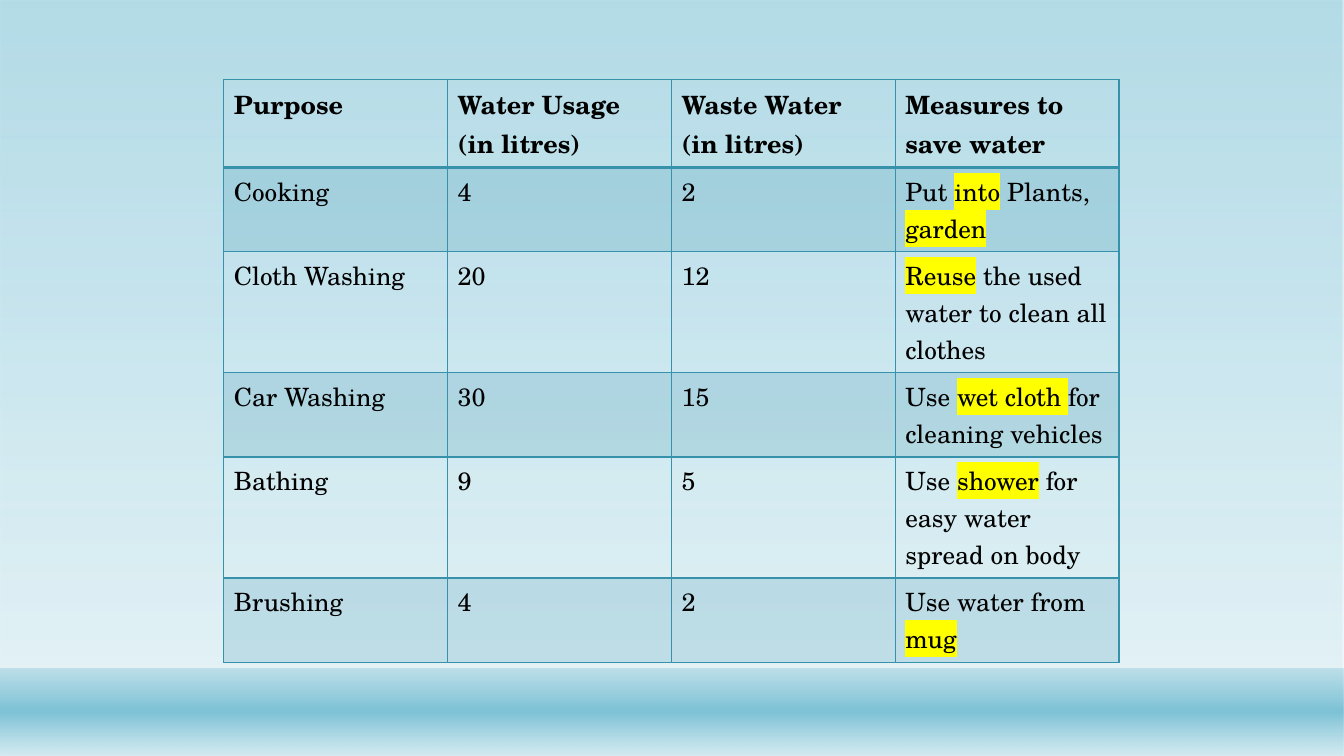
from pptx import Presentation
from pptx.dml.color import RGBColor as RGB
from pptx.enum.shapes import MSO_SHAPE as Shape
from pptx.oxml import parse_xml
from pptx.oxml.ns import nsdecls
from pptx.util import Inches, Pt

# Content: text between asterisks is highlighted, "\n" starts a new paragraph
ROWS = [
    ("Purpose", "Water Usage\n(in litres)", "Waste Water\n(in litres)",
     "Measures to save water"),
    ("Cooking", "4", "2", "Put *into* Plants, *garden*"),
    ("Cloth Washing", "20", "12", "*Reuse* the used water to clean all clothes"),
    ("Car Washing", "30", "15", "Use *wet cloth *for cleaning vehicles"),
    ("Bathing", "9", "5", "Use *shower* for easy water spread on body"),
    ("Brushing", "4", "2", "Use water from *mug*"),
]
COLORS = {"water": "7DC2D6", "mist": "D4EBF1", "teal": "3691AA",
          "text": "000000", "mark": "FFFF00"}
FONT = "TeX Gyre Schola"

SLIDE_W, SLIDE_H = 13.33, 7.5
FLOOR_TOP = 6.63
TABLE_LEFT, TABLE_TOP, COL_W = 2.22, 0.79, 2.22
ROW_HEIGHTS = [0.87, 0.83, 1.2, 0.83, 1.2, 0.83]

# Background bands: top, height, gradient stops (position, colour, opacity) in %
BANDS = [
    (0, SLIDE_H, [(0, "water", 58), (88, "mist", 65)]),
    (FLOOR_TOP, SLIDE_H - FLOOR_TOP,
     [(1, "water", 38), (49, "water", 100), (100, "mist", 89)]),
]


def color_xml(name, opacity=100):
    return (f'<a:srgbClr val="{COLORS[name]}">'
            f'<a:alpha val="{opacity * 1000}"/></a:srgbClr>')


def add_band(slide, top, height, stops):
    sp = slide.shapes.add_shape(Shape.RECTANGLE, 0, Inches(top),
                                Inches(SLIDE_W), Inches(height))
    sp.shadow.inherit = False
    sp.line.fill.background()
    gs = "".join(f'<a:gs pos="{pos * 1000}">{color_xml(name, opacity)}</a:gs>'
                 for pos, name, opacity in stops)
    sp._element.spPr.find("{*}prstGeom").addnext(parse_xml(
        f'<a:gradFill {nsdecls("a")} rotWithShape="1"><a:gsLst>{gs}</a:gsLst>'
        '<a:lin ang="5400000" scaled="0"/></a:gradFill>'))


def write_cell(cell, text, bold):
    tf = cell.text_frame
    for i, line in enumerate(text.split("\n")):
        p = tf.add_paragraph() if i else tf.paragraphs[0]
        p.font.name, p.font.size, p.font.bold = FONT, Pt(18), bold
        p.font.color.rgb = RGB.from_string(COLORS["text"])
        for j, part in enumerate(line.split("*")):
            if not part:
                continue
            r = p.add_run()
            r.text = part
            if j % 2:
                r._r.get_or_add_rPr().append(parse_xml(
                    f'<a:highlight {nsdecls("a")}>{color_xml("mark")}</a:highlight>'))


def style_cell(cell, row):
    tcPr = cell._tc.get_or_add_tcPr()
    # The line under the header is twice as wide
    widths = {"L": 1, "R": 1, "T": 2 if row == 1 else 1, "B": 2 if row == 0 else 1}
    for side, width in widths.items():
        tcPr.append(parse_xml(
            f'<a:ln{side} {nsdecls("a")} w="{Pt(width)}"><a:solidFill>'
            f'{color_xml("teal")}</a:solidFill></a:ln{side}>'))
    # Odd rows carry a light tint
    fill = (f'<a:solidFill {nsdecls("a")}>{color_xml("teal", 20)}</a:solidFill>'
            if row % 2 else f'<a:noFill {nsdecls("a")}/>')
    tcPr.append(parse_xml(fill))


def main():
    prs = Presentation()
    prs.slide_width, prs.slide_height = Inches(SLIDE_W), Inches(SLIDE_H)
    s = prs.slides.add_slide(prs.slide_layouts[6])

    # Background
    for band in BANDS:
        add_band(s, *band)

    # Water table
    n_cols = len(ROWS[0])
    table = s.shapes.add_table(
        len(ROWS), n_cols, Inches(TABLE_LEFT), Inches(TABLE_TOP),
        Inches(COL_W * n_cols), Inches(sum(ROW_HEIGHTS))).table
    table.first_row = table.horz_banding = False
    for col in table.columns:
        col.width = Inches(COL_W)
    for i, (texts, height) in enumerate(zip(ROWS, ROW_HEIGHTS)):
        table.rows[i].height = Inches(height)
        for j, text in enumerate(texts):
            cell = table.cell(i, j)
            write_cell(cell, text, bold=i == 0)
            style_cell(cell, i)

    prs.save("out.pptx")


if __name__ == "__main__":
    main()
